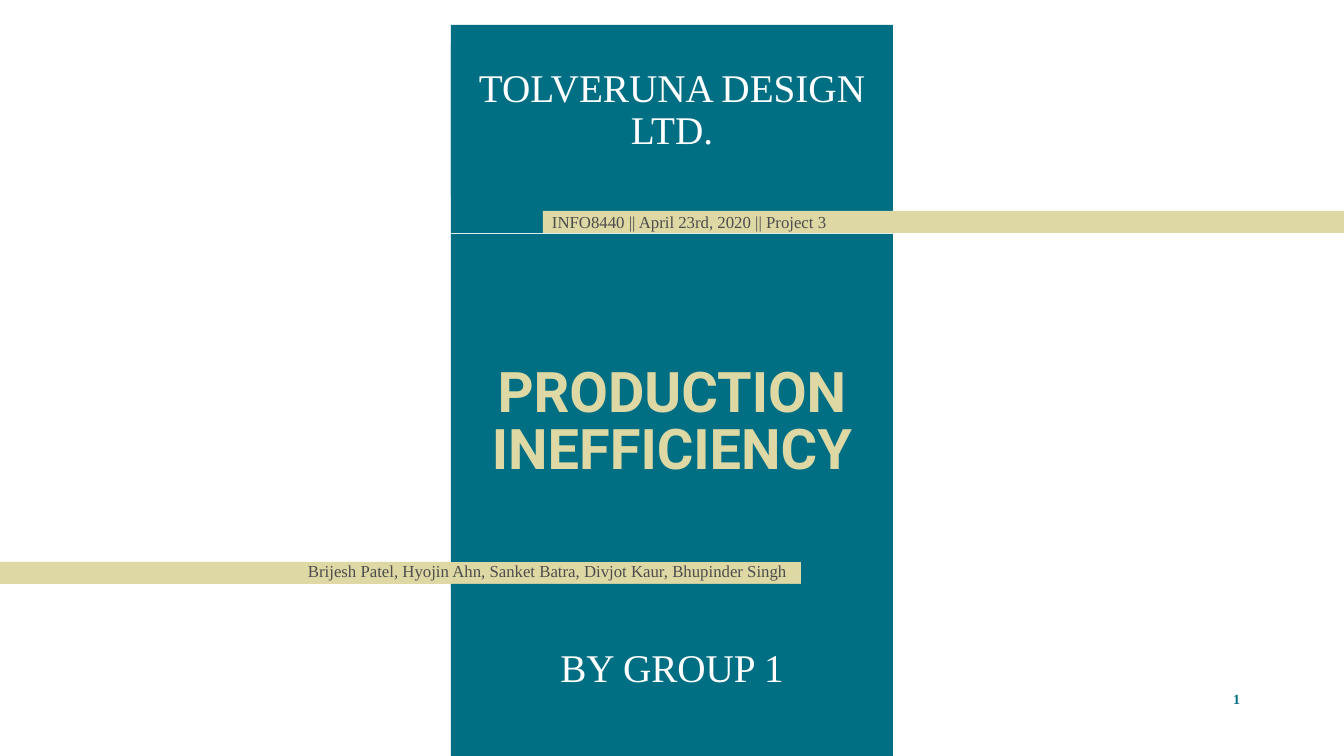
import dataclasses

import lxml.etree
import pptx
import pptx.dml.color
import pptx.enum.shapes
import pptx.enum.text
import pptx.oxml.ns
import pptx.util

SLIDE_WIDTH, SLIDE_HEIGHT = 1344, 756
SCALE = 12192000 / SLIDE_WIDTH
PANEL_LEFT, PANEL_WIDTH = 451, 442
BAR_HEIGHT = 22
CENTER = pptx.enum.text.PP_ALIGN.CENTER
LEFT = pptx.enum.text.PP_ALIGN.LEFT
TOP = pptx.enum.text.MSO_ANCHOR.TOP
MIDDLE = pptx.enum.text.MSO_ANCHOR.MIDDLE
BOTTOM = pptx.enum.text.MSO_ANCHOR.BOTTOM


@dataclasses.dataclass(frozen=True)
class TextStyle:
    size: int
    color: str
    font: str = "Times New Roman"
    bold: bool = False
    alignment: int = CENTER
    line_spacing: float = 0.9
    space_before: int = 0


@dataclasses.dataclass(frozen=True)
class Theme:
    teal: str = "006F83"
    sand: str = "DED8A4"
    title: TextStyle = TextStyle(40, "DED8A4", "Roboto", True, line_spacing=0.85)
    heading: TextStyle = TextStyle(28, "FFFFFF", space_before=6)
    caption: TextStyle = TextStyle(12, "4D4D4D", alignment=LEFT, space_before=10)
    number: TextStyle = TextStyle(10, "006F83", bold=True, line_spacing=1.0)


THEME = Theme()


def px(length):
    return pptx.util.Emu(round(length * SCALE))


def rgb(color):
    return pptx.dml.color.RGBColor.from_string(color)


def add_rectangle(slide, left, top, width, height, color):
    shape = slide.shapes.add_shape(
        pptx.enum.shapes.MSO_SHAPE.RECTANGLE, px(left), px(top), px(width), px(height)
    )
    shape.shadow.inherit = False
    shape.fill.solid()
    shape.fill.fore_color.rgb = rgb(color)
    shape.line.fill.background()
    return shape


def add_panel(slide, top, height):
    return add_rectangle(slide, PANEL_LEFT, top, PANEL_WIDTH, height, THEME.teal)


def add_text_box(slide, left, top, width, height):
    return slide.shapes.add_textbox(px(left), px(top), px(width), px(height))


def set_text(shape, text, style, anchor, insets):
    frame = shape.text_frame
    frame.word_wrap = True
    frame.vertical_anchor = anchor
    frame.margin_left, frame.margin_top, frame.margin_right, frame.margin_bottom = map(px, insets)
    paragraph = frame.paragraphs[0]
    paragraph.text = text
    paragraph.alignment = style.alignment
    paragraph.line_spacing = style.line_spacing
    paragraph.space_before = pptx.util.Pt(style.space_before)
    paragraph.font.name = style.font
    paragraph.font.size = pptx.util.Pt(style.size)
    paragraph.font.bold = style.bold
    paragraph.font.color.rgb = rgb(style.color)
    return paragraph


def add_heading(slide, top, height, text):
    set_text(add_panel(slide, top, height), text, THEME.heading, MIDDLE, (10, 10, 10, 10))


def add_caption(slide, left, top, width, height, text):
    box = add_text_box(slide, left, top, width, height)
    set_text(box, text, THEME.caption, TOP, (10, 5, 10, 5))


def add_slide_number(slide, left, top, width, height):
    box = add_text_box(slide, left, top, width, height)
    paragraph = set_text(box, "", THEME.number, TOP, (0, 0, 0, 0))
    qn = pptx.oxml.ns.qn
    field = lxml.etree.SubElement(paragraph._p, qn("a:fld"))
    field.set("id", "{B6F15528-21DE-4FAA-801E-634DDDAF4B2B}")
    field.set("type", "slidenum")
    lxml.etree.SubElement(field, qn("a:rPr")).set("lang", "en-US")
    lxml.etree.SubElement(field, qn("a:t")).text = "1"


def main():
    presentation = pptx.Presentation()
    presentation.slide_width = px(SLIDE_WIDTH)
    presentation.slide_height = px(SLIDE_HEIGHT)
    slide = presentation.slides.add_slide(presentation.slide_layouts[6])

    add_panel(slide, 44, 189)
    add_rectangle(slide, 543, 211, SLIDE_WIDTH - 543, BAR_HEIGHT, THEME.sand)
    add_panel(slide, 562, 25)
    add_rectangle(slide, 0, 562, 801, BAR_HEIGHT, THEME.sand)

    title = add_panel(slide, 234, 328)
    set_text(title, "PRODUCTION\vINEFFICIENCY", THEME.title, BOTTOM, (10, 8, 10, 81))
    add_heading(slide, 584, 172, "BY GROUP 1")
    add_slide_number(slide, 1222, 691, 29, 25)
    add_heading(slide, 25, 172, "TOLVERUNA DESIGN LTD.")
    add_caption(slide, 542, 209, 492, 30, "INFO8440 || April 23rd, 2020 || Project 3")
    add_caption(
        slide, 298, 558, 811, 40,
        "Brijesh Patel, Hyojin Ahn, Sanket Batra, Divjot Kaur, Bhupinder Singh",
    )
    presentation.save("out.pptx")


if __name__ == "__main__":
    main()
